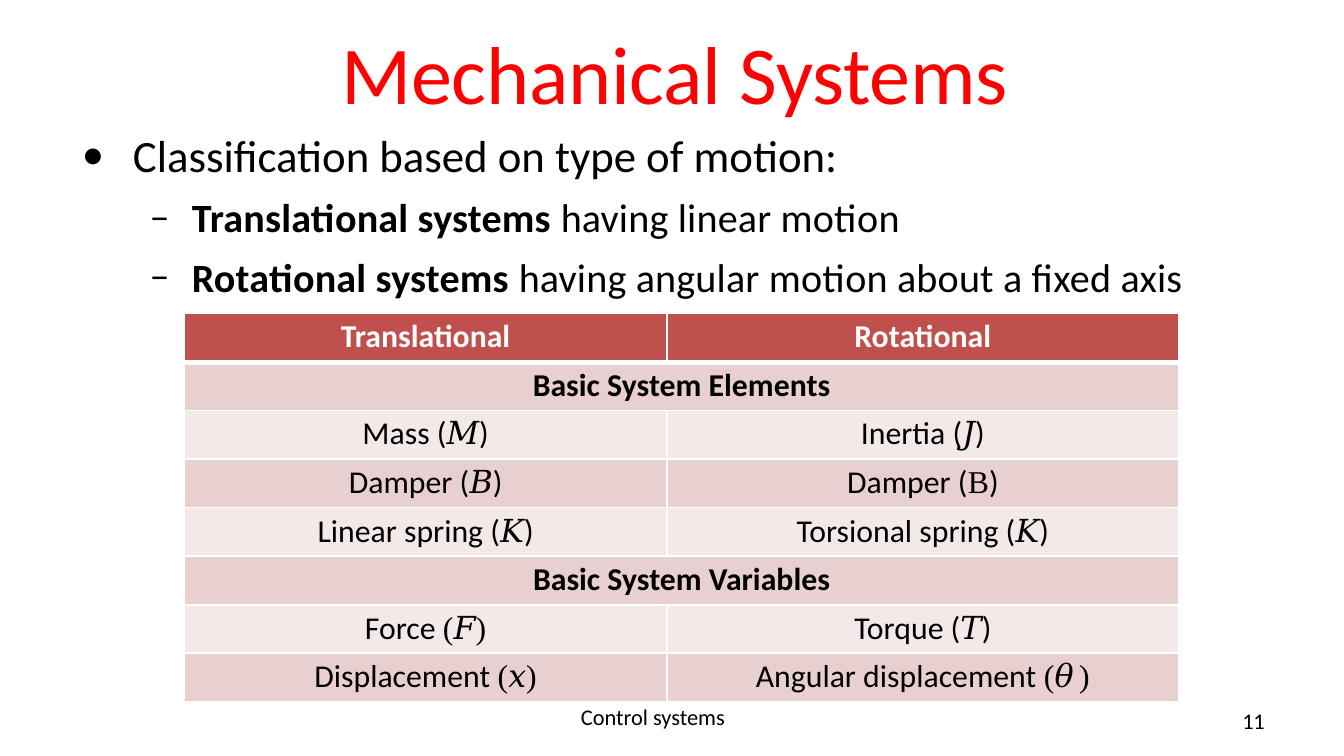
from dataclasses import dataclass
from pptx import Presentation
from pptx.dml.color import RGBColor as Rgb
from pptx.enum.text import MSO_ANCHOR as Anchor, PP_ALIGN as Align
from pptx.oxml.ns import qn
from pptx.util import Pt
from lxml.etree import SubElement as Sub


@dataclass(frozen=True)
class Theme:
    red: str = "FF0000"
    ink: str = "000000"
    white: str = "FFFFFF"
    head: str = "C0504D"
    dark: str = "E8D0D0"
    pale: str = "F4E9E9"
    font: str = "Calibri"
    math: str = "Times New Roman"
    title: float = 44
    lead: float = 24
    item: float = 21.5
    cell: float = 17
    foot: float = 12


T = Theme()
ROWS = [
    ("Translational", "Rotational"),
    ("Basic System Elements",),
    ("Mass (|𝑀|)", "Inertia (|𝐽|)"),
    ("Damper (|𝐵|)", "Damper (|B|)"),
    ("Linear spring (|𝐾|)", "Torsional spring (|𝐾|)"),
    ("Basic System Variables",),
    ("Force |(𝐹)", "Torque (|𝑇|)"),
    ("Displacement |(𝑥)", "Angular displacement |(𝜃)"),
]


def write(para, text, size, color=T.ink, bold=False, alt_bold=False,
          alt_font=T.font, align=Align.LEFT, before=0, left=0, hang=0,
          mark=None, track=0):
    para.alignment = align
    para.space_before = Pt(before)
    props = para._p.get_or_add_pPr()
    props.set("marL", str(Pt(left)))
    props.set("indent", str(Pt(-hang)))
    if mark:
        Sub(props, qn("a:buFont")).set("typeface", T.font)
        Sub(props, qn("a:buChar")).set("char", mark)
    for i, part in enumerate(text.split("|")):
        if not part:
            continue
        run = para.add_run()
        run.text = part
        font = run.font
        font.size = Pt(size)
        font.color.rgb = Rgb.from_string(color)
        font.bold = alt_bold if i % 2 else bold
        font.name = alt_font if i % 2 else T.font
        if track:
            run._r.get_or_add_rPr().set("spc", str(round(track * 100)))


def frame(slide, box, top=0, anchor=Anchor.TOP):
    body = slide.shapes.add_textbox(*map(Pt, box)).text_frame
    body.word_wrap = True
    body.vertical_anchor = anchor
    body.margin_left = body.margin_right = body.margin_bottom = 0
    body.margin_top = Pt(top)
    return body


def title(slide, box):
    body = frame(slide, box, 1.3, Anchor.MIDDLE)
    write(body.paragraphs[0], "Mechanical Systems", T.title, T.red,
          align=Align.CENTER, before=1.3, track=-0.15)


def bullets(slide, box):
    body = frame(slide, box, 7.2)
    write(body.paragraphs[0], "Classification based on type of motion:",
          T.lead, before=7.3, left=28, hang=27.4, mark="•")
    for text in ("|Translational systems |having linear motion",
                 "|Rotational systems |having angular motion about a fixed axis"):
        write(body.add_paragraph(), text, T.item, alt_bold=True, before=6,
              left=59.6, hang=22.6, mark="–", track=0.1)


def border(cell, side, width):
    line = Sub(cell._tc.get_or_add_tcPr(), qn("a:ln" + side))
    line.set("w", str(Pt(width)))
    fill = Sub(line, qn("a:solidFill"))
    Sub(fill, qn("a:srgbClr")).set("val", T.white)


def grid(slide, box):
    x, y, wide, high = box
    table = slide.shapes.add_table(
        len(ROWS), 2, Pt(x), Pt(y), Pt(wide), Pt(high)).table
    first = wide * 0.485
    for col, size in zip(table.columns, (first, wide - first)):
        col.width = Pt(size)
    step = 26
    for row in table.rows:
        row.height = Pt(step)
    table.rows[len(ROWS) - 1].height = Pt(high - step * (len(ROWS) - 1))
    for r, texts in enumerate(ROWS):
        tint = T.head if r == 0 else T.dark if r % 2 else T.pale
        for c in range(2):
            cell = table.cell(r, c)
            cell.margin_left = cell.margin_right = cell.margin_bottom = 0
            cell.margin_top = Pt(2.2)
            for side in "LRTB":
                thick = (r, side) in ((0, "B"), (1, "T"))
                border(cell, side, 3 if thick else 1)
            cell.fill.solid()
            cell.fill.fore_color.rgb = Rgb.from_string(tint)
        if len(texts) == 1:
            table.cell(r, 0).merge(table.cell(r, 1))
        for c, text in enumerate(texts):
            write(table.cell(r, c).text_frame.paragraphs[0], text, T.cell,
                  T.ink if r else T.white, bold=r == 0 or len(texts) == 1,
                  alt_font=T.math, align=Align.CENTER, before=1.9)


def footer(slide, box):
    x, y, wide, high = box
    para = frame(slide, (x, y, 99.4, high), 0.7).paragraphs[0]
    write(para, "Control systems", T.foot, left=0.9)
    para.line_spacing = Pt(12.4)
    page = frame(slide, (x + wide - 13.7, y, 13.7, high), 0.7)
    write(page.paragraphs[0], "11", T.foot, left=0.9, before=1, track=-0.1)


def main():
    deck = Presentation()
    deck.slide_width, deck.slide_height = Pt(720), Pt(405)
    slide = deck.slides.add_slide(deck.slide_layouts[6])
    title(slide, (180.7, 10, 361.4, 55.4))
    bullets(slide, (43.2, 61.2, 598.3, 100.8))
    grid(slide, (98.8, 168, 532.8, 208.2))
    footer(slide, (310.3, 378, 368, 16))
    deck.save("out.pptx")


if __name__ == "__main__":
    main()
